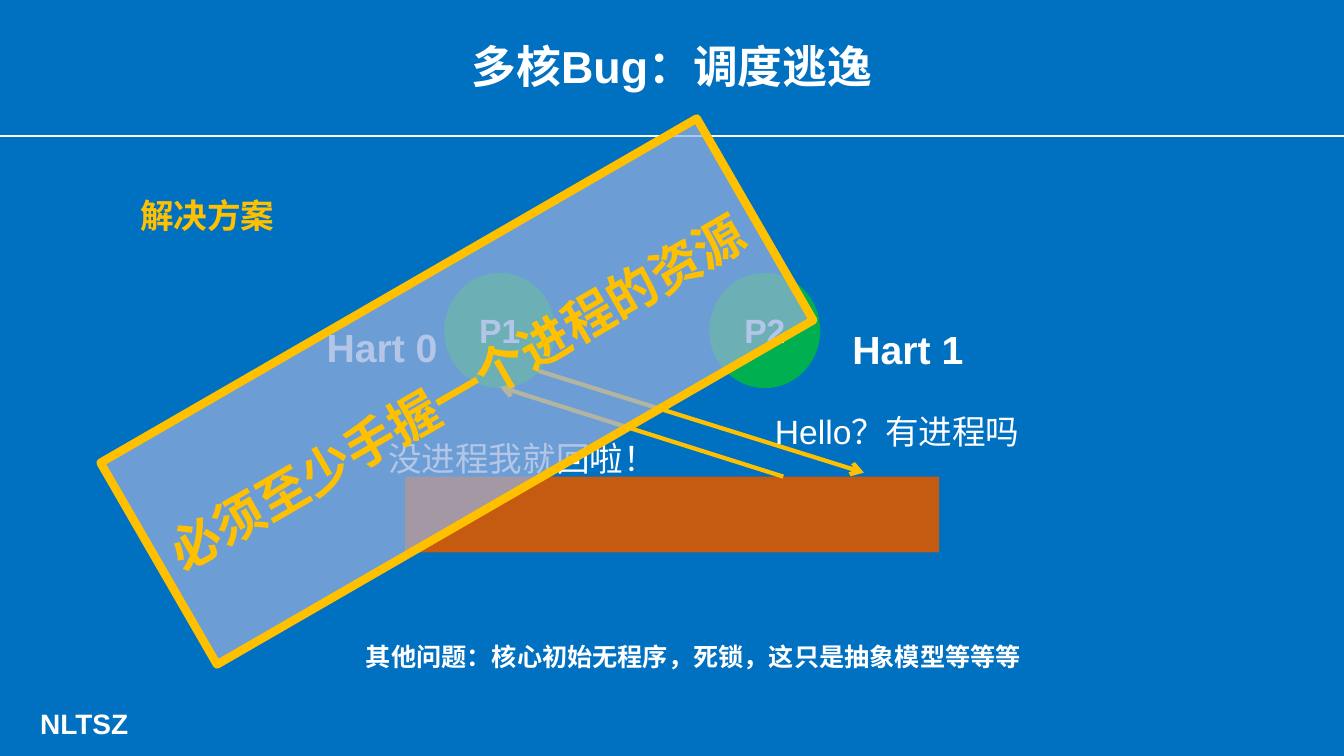
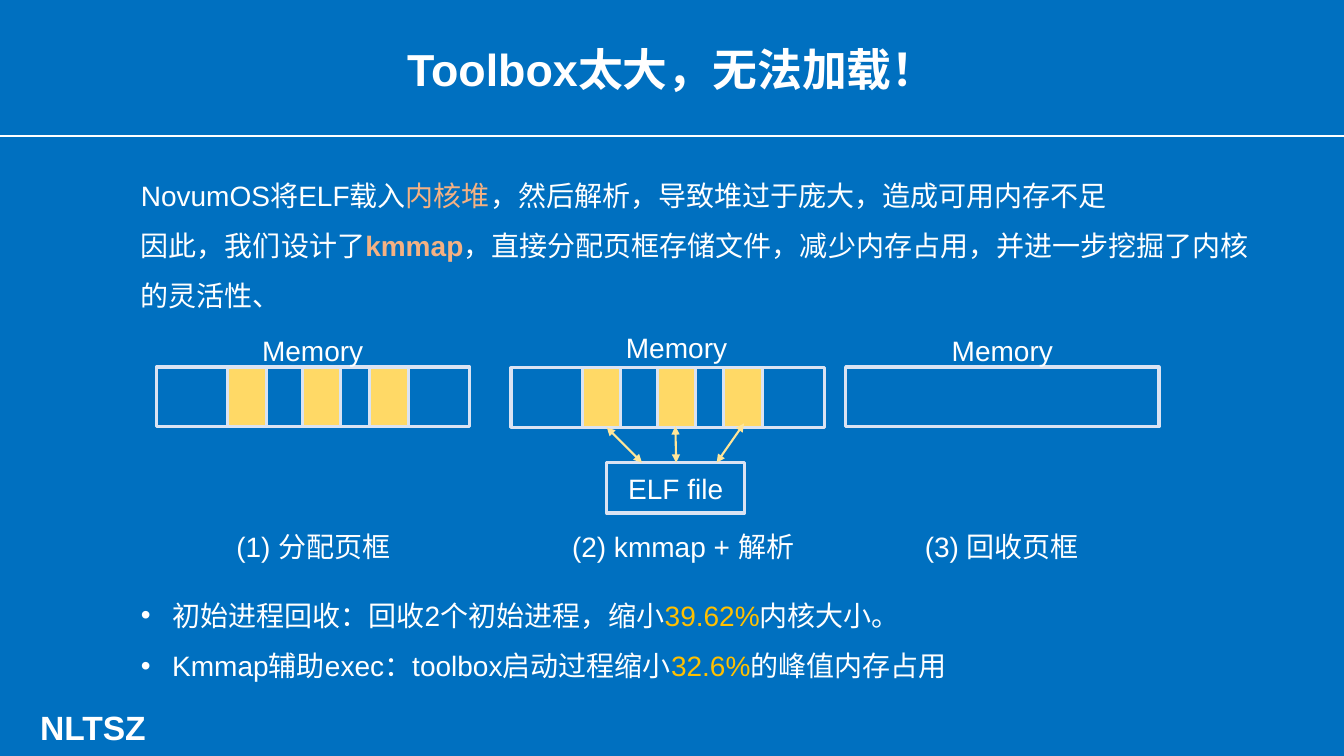
from lxml.etree import SubElement
from pptx import Presentation
from pptx.dml.color import RGBColor
from pptx.enum.shapes import MSO_CONNECTOR, MSO_SHAPE
from pptx.enum.text import MSO_ANCHOR as ANCHOR, PP_ALIGN as ALIGN
from pptx.oxml.ns import qn
from pptx.util import Cm, Pt

FONT = "Arial"
COLORS = {
    "background": "0070C0",
    "white": "FFFFFF",
    "gold": "FFC000",
    "green": "00B050",
    "rust": "C55A11",
    "veil": "96B1DE",
    "peach": "F4B183",
    "frame": "DAE3F3",
    "page": "FFD966",
    "arrow": "FFE699",
}
RGB = {name: RGBColor.from_string(value) for name, value in COLORS.items()}


def place(shapes, box, lines=(), size=20, color="white", bold=False, align=ALIGN.LEFT,
          spacing=None, kind=None, fill=None, outline=None, weight=2.25):
    lengths = [Cm(value) for value in box]
    if kind is None:
        item = shapes.add_textbox(*lengths)
    else:
        item = shapes.add_shape(kind, *lengths)
        item.shadow.inherit = False
        for format_, tint in ((item.fill, fill), (item.line.fill, outline)):
            if tint:
                format_.solid()
                format_.fore_color.rgb = RGB[tint]
            else:
                format_.background()
        if outline:
            item.line.width = Pt(weight)
        item.text_frame.vertical_anchor = ANCHOR.MIDDLE
    frame = item.text_frame
    frame.word_wrap = True
    for index, parts in enumerate(lines):
        paragraph = frame.add_paragraph() if index else frame.paragraphs[0]
        paragraph.alignment = align
        paragraph.line_spacing = spacing
        for text, tint, strong in parts if isinstance(parts, list) else [(parts, color, bold)]:
            run = paragraph.add_run()
            run.text = text
            run.font.name = FONT
            run.font.size = Pt(size)
            run.font.bold = strong
            run.font.color.rgb = RGB[tint]
    return item


def link(slide, start, end, color, weight, head=None, tail=None):
    line = slide.shapes.add_connector(MSO_CONNECTOR.STRAIGHT, *map(Cm, start + end))
    line.line.color.rgb = RGB[color]
    line.line.width = Pt(weight)
    properties = line.element.spPr
    for tag, arrow in (("a:headEnd", head), ("a:tailEnd", tail)):
        if arrow:
            SubElement(properties.find(qn("a:ln")), qn(tag), type=arrow)
    SubElement(properties, qn("a:effectLst"))


prs = Presentation()
prs.slide_width, prs.slide_height = Cm(33.87), Cm(19.05)
background = prs.slide_master.background.fill
background.solid()
background.fore_color.rgb = RGB["background"]

slides = []
for heading, anchor, footer_size in (
    ("多核Bug：调度逃逸", ANCHOR.MIDDLE, 20),
    ("Toolbox太大，无法加载！", ANCHOR.BOTTOM, 24),
):
    slide = prs.slides.add_slide(prs.slide_layouts[5])
    title = slide.shapes.title
    title.left, title.top, title.width, title.height = Cm(4.5), Cm(0.91), Cm(24.87), Cm(1.65)
    title.text_frame.text = heading
    title.text_frame.vertical_anchor = anchor
    paragraph = title.text_frame.paragraphs[0]
    paragraph.alignment = ALIGN.CENTER
    paragraph.line_spacing = 0.9
    font = paragraph.runs[0].font
    font.name, font.size, font.bold = FONT, Pt(32), True
    font.color.rgb = RGB["white"]
    link(slide, (0, 3.43), (33.87, 3.43), "white", 1.5)
    place(slide.shapes, (0.76, 17.68, 5.03, 1.2), ["NLTSZ"], footer_size, bold=True)
    slides.append(slide)

escape, loading = slides

for process, left in (("P1", 11.2), ("P2", 17.88)):
    place(escape.shapes, (left, 6.88, 2.79, 2.9), [process], 24, bold=True,
          align=ALIGN.CENTER, kind=MSO_SHAPE.OVAL, fill="green")
for hart, left, top in (("Hart 0", 7.98, 7.44), ("Hart 1", 21.23, 7.49)):
    place(escape.shapes, (left, top, 3.48, 2.06), [hart], 28, bold=True, spacing=1.5)
place(escape.shapes, (10.21, 12.01, 13.46, 1.91), kind=MSO_SHAPE.RECTANGLE, fill="rust")
for start, end in (((13.59, 9.35), (21.77, 11.91)), ((19.74, 12.01), (12.6, 9.75))):
    link(escape, start, end, "gold", 3, tail="arrow")
for speech, box in (
    ("Hello？有进程吗", (19.28, 9.73, 14, 1.8)),
    ("没进程我就回啦！", (9.53, 10.41, 7.82, 1.8)),
):
    place(escape.shapes, box, [speech], 24, spacing=1.5)

banner = place(escape.shapes, (2.84, 6.93, 17.35, 5.87), ["必须至少手握一个进程的资源"], 36,
               "gold", True, ALIGN.CENTER, kind=MSO_SHAPE.RECTANGLE,
               fill="veil", outline="gold", weight=6)
banner.rotation = 330
veil = banner.element.spPr.find(qn("a:solidFill")).find(qn("a:srgbClr"))
SubElement(veil, qn("a:alpha"), val="72000")

place(escape.shapes, (8.97, 15.65, 17.42, 1.4),
      ["其他问题：核心初始无程序，死锁，这只是抽象模型等等等"], 18, bold=True, spacing=1.5)
place(escape.shapes, (3.28, 4.27, 28.3, 1.8), ["解决方案"], 24, "gold", True, spacing=1.5)

place(loading.shapes, (3.3, 3.94, 29.03, 5.38), [
    [("NovumOS将ELF载入", "white", False),
     ("内核堆", "peach", False),
     ("，然后解析，导致堆过于庞大，造成可用内存不足", "white", False)],
    [("因此，我们设计了", "white", False),
     ("kmmap", "peach", True),
     ("，直接分配页框存储文件，减少内存占用，并进一步挖掘了内核的灵活性、", "white", False)],
], spacing=1.5)

for left, top, label_at, caption, caption_left, caption_width, pages in (
    (3.94, 9.25, (6.32, 7.85), "(1) 分配页框", 5.46, 4.88, (1.8, 3.68, 5.38)),
    (12.88, 9.27, (15.49, 7.77), "(2) kmmap + 解析", 14, 6.43, (1.8, 3.68, 5.36)),
    (21.31, 9.25, (23.7, 7.85), "(3) 回收页框", 22.81, 4.88, ()),
):
    memory = loading.shapes.add_group_shape().shapes if pages else loading.shapes
    place(memory, (left, top, 7.9, 1.5), kind=MSO_SHAPE.RECTANGLE, outline="frame")
    for offset in pages:
        place(memory, (left + offset, top, 0.97, 1.5), kind=MSO_SHAPE.RECTANGLE,
              fill="page", outline="frame")
    for text, box in (
        ("Memory", (*label_at, 3.12, 1.52)),
        (caption, (caption_left, 12.8, caption_width, 1.52)),
    ):
        place(loading.shapes, box, [text], align=ALIGN.CENTER, spacing=1.5)

place(loading.shapes, (15.29, 11.66, 3.48, 1.27), ["ELF file"], align=ALIGN.CENTER,
      kind=MSO_SHAPE.RECTANGLE, outline="frame")
for start, end in (
    ((16.18, 11.66), (15.29, 10.77)),
    ((17.04, 11.66), (17.02, 10.74)),
    ((18.06, 11.66), (18.75, 10.67)),
):
    link(loading, start, end, "arrow", 1.5, head="triangle", tail="triangle")

results = place(loading.shapes, (3.3, 14.53, 22.45, 2.82), [
    [("初始进程回收：回收2个初始进程，缩小", "white", False),
     ("39.62%", "gold", False),
     ("内核大小。", "white", False)],
    [("Kmmap辅助exec：toolbox启动过程缩小", "white", False),
     ("32.6%", "gold", False),
     ("的峰值内存占用", "white", False)],
], spacing=1.5)
for paragraph in results.text_frame.paragraphs:
    properties = paragraph._p.get_or_add_pPr()
    properties.set("marL", str(Cm(0.79)))
    properties.set("indent", str(-Cm(0.79)))
    SubElement(properties, qn("a:buFont"), typeface=FONT)
    SubElement(properties, qn("a:buChar"), char="•")

prs.save("out.pptx")
